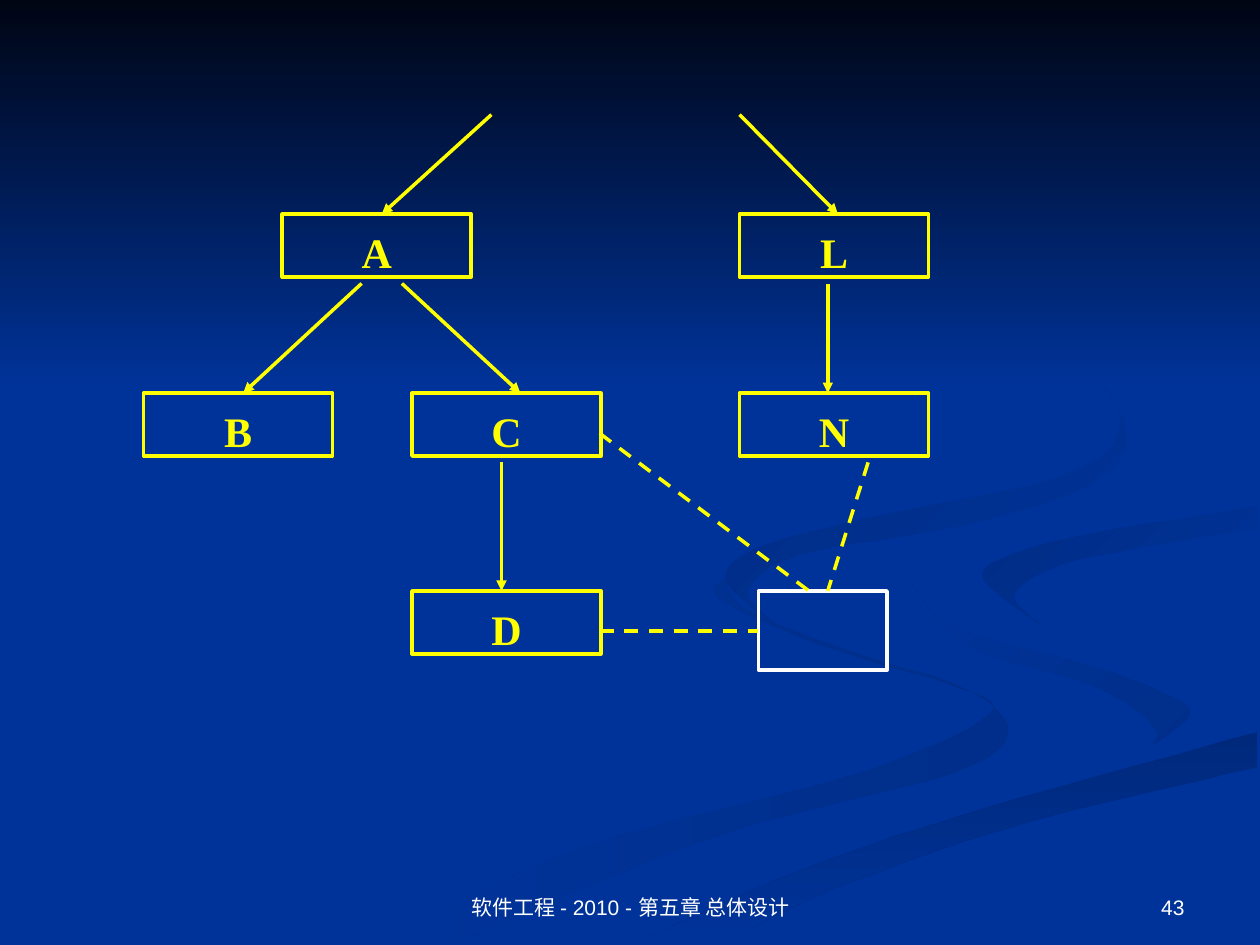
from lxml import etree
from pptx import Presentation
from pptx.dml.color import RGBColor
from pptx.enum.dml import MSO_LINE
from pptx.enum.shapes import MSO_CONNECTOR, MSO_SHAPE
from pptx.enum.text import MSO_ANCHOR, PP_ALIGN
from pptx.oxml.ns import qn
from pptx.util import Inches, Pt

RECTANGLE = MSO_SHAPE.RECTANGLE
STRAIGHT = MSO_CONNECTOR.STRAIGHT
DASH = MSO_LINE.DASH
TOP, BOTTOM = MSO_ANCHOR.TOP, MSO_ANCHOR.BOTTOM
CENTER, RIGHT = PP_ALIGN.CENTER, PP_ALIGN.RIGHT

COLORS = {
    "blue": "003399",
    "night": "000514",
    "shade": "002E8A",
    "deep": "00297C",
    "dusk": "002C85",
    "ink": "002B81",
    "yellow": "FFFF00",
    "white": "FFFFFF",
}
NODE_FONT = {"name": "Times New Roman", "size": Pt(24), "bold": True}
FOOTER_FONT = {"name": "Arial", "size": Pt(12)}
LINE_WIDTH = Pt(2)
BOX_WIDTH, BOX_HEIGHT = 1.5, 0.5
ROWS = (1.7, 3.12, 4.69)
CURVE_STEPS = 6

# Ribbons: start colour, end colour, clockwise angle, then the knots of both edges
RIBBONS = [
    ("shade", "blue", 180,
     [(5.75, 4.59), (5.94, 4.85), (6.82, 5.19), (7.67, 5.47), (8, 5.81), (7.56, 6.14),
      (5.64, 6.65), (3.61, 7.49)],
     [(3, 7.49), (4.58, 6.74), (6.84, 6.13), (7.86, 5.66), (7.52, 5.43), (6.54, 5.13),
      (5.72, 4.76), (5.75, 4.59)]),
    ("shade", "blue", 225,
     [(7.24, 4.64), (7.58, 4.98), (8.7, 5.3), (9.3, 5.53), (9.43, 5.7), (8.94, 6.05)],
     [(8.94, 6.05), (9.18, 5.81), (8.68, 5.44), (7.66, 5.12), (7.24, 4.64)]),
    ("deep", "blue", 90,
     [(5.03, 7.49), (6.3, 6.93), (7.64, 6.47), (9.98, 5.81)],
     [(9.98, 6.09), (8.21, 6.51), (6.7, 7.02), (5.71, 7.49)]),
    ("blue", "dusk", 225,
     [(9.98, 4.02), (8.65, 4.24), (7.99, 4.42), (7.81, 4.6), (8.26, 4.96)],
     [(8.26, 4.96), (8.05, 4.72), (8.43, 4.48), (9.36, 4.29), (9.98, 4.2)]),
    ("blue", "ink", 225,
     [(7.62, 2.33), (8.46, 2.79), (8.89, 3.35), (8.42, 3.78), (6.76, 4.14), (5.97, 4.37),
      (5.77, 4.62), (6.22, 5)],
     [(6.22, 5), (5.93, 4.7), (6.35, 4.4), (7.64, 4.17), (8.67, 3.84), (8.94, 3.44),
      (8.54, 2.83), (7.62, 2.33)]),
    ("night", "blue", 90, [(0, 0), (10, 0)], [(10, 3.08), (0, 3.08)]),
]
NODES = [
    ("A", 2.24, ROWS[0]), ("L", 5.87, ROWS[0]),
    ("B", 1.14, ROWS[1]), ("C", 3.27, ROWS[1]), ("N", 5.87, ROWS[1]),
    ("D", 3.27, ROWS[2]),
]
ARROWS = [
    (3.9, 0.91, 3.03, ROWS[0]), (5.87, 0.91, 6.65, ROWS[0]),
    (2.87, 2.25, 1.93, ROWS[1]), (3.19, 2.25, 4.13, ROWS[1]),
    (6.57, 2.25, 6.57, ROWS[1]), (3.98, 3.67, 3.98, ROWS[2]),
]
DASHED_LINKS = [
    (4.76, 3.44, 6.42, ROWS[2]), (4.76, 5.01, 6.02, 5.01), (6.89, 3.67, 6.57, ROWS[2]),
]


def color(name):
    return RGBColor.from_string(COLORS[name])


def smooth_edge(knots):
    """Catmull-Rom curve through the knots, in hundredths of an inch."""
    padded = [knots[0], *knots, knots[-1]]
    points = []
    for a, b, c, d in zip(padded, padded[1:], padded[2:], padded[3:]):
        for step in range(CURVE_STEPS):
            t = step / CURVE_STEPS
            points.append(tuple(
                round(50 * (2 * q + (r - p) * t + (2 * p - 5 * q + 4 * r - s) * t ** 2
                            + (3 * q - p - 3 * r + s) * t ** 3))
                for p, q, r, s in zip(a, b, c, d)))
    return points + [tuple(round(value * 100) for value in knots[-1])]


def add_ribbon(slide, start, end, angle, first_edge, second_edge):
    points = smooth_edge(first_edge) + smooth_edge(second_edge)
    builder = slide.shapes.build_freeform(*points[0], scale=Inches(0.01))
    builder.add_line_segments(points[1:], close=True)
    shape = builder.convert_to_shape()
    shape.shadow.inherit = False
    shape.line.fill.background()
    shape.fill.gradient()
    shape.fill.gradient_angle = 360 - angle
    for stop, name, position in zip(shape.fill.gradient_stops, (start, end), (0, 1)):
        stop.color.rgb = color(name)
        stop.position = position


def write_text(shape, text, font, color_name, alignment, anchor):
    frame = shape.text_frame
    frame.word_wrap = True
    frame.vertical_anchor = anchor
    paragraph = frame.paragraphs[0]
    paragraph.alignment = alignment
    run = paragraph.add_run()
    run.text = text
    for key, value in font.items():
        setattr(run.font, key, value)
    run.font.color.rgb = color(color_name)


def add_box(slide, left, top, width, height, color_name):
    shape = slide.shapes.add_shape(
        RECTANGLE, Inches(left), Inches(top), Inches(width), Inches(height))
    shape.shadow.inherit = False
    shape.fill.background()
    shape.line.color.rgb = color(color_name)
    shape.line.width = LINE_WIDTH
    return shape


def add_node(slide, label, left, top):
    shape = add_box(slide, left, top, BOX_WIDTH, BOX_HEIGHT, "yellow")
    shape.text_frame.margin_top = Inches(0.1)
    shape.text_frame.margin_bottom = 0
    write_text(shape, label, NODE_FONT, "yellow", CENTER, TOP)


def add_link(slide, ends, dashed=False):
    connector = slide.shapes.add_connector(STRAIGHT, *[Inches(value) for value in ends])
    connector.line.color.rgb = color("yellow")
    connector.line.width = LINE_WIDTH
    if dashed:
        connector.line.dash_style = DASH
    else:
        line = connector.line._get_or_add_ln()
        etree.SubElement(line, qn("a:tailEnd"), type="triangle")
    etree.SubElement(connector._element.spPr, qn("a:effectLst"))


def add_footer(slide, text, left, width, alignment):
    box = slide.shapes.add_textbox(Inches(left), Inches(6.83), Inches(width), Inches(0.52))
    write_text(box, text, FOOTER_FONT, "white", alignment, BOTTOM)


def main():
    presentation = Presentation()
    presentation.slide_width, presentation.slide_height = Inches(10), Inches(7.5)
    slide = presentation.slides.add_slide(presentation.slide_layouts[6])

    # Background
    slide.background.fill.solid()
    slide.background.fill.fore_color.rgb = color("blue")
    for ribbon in RIBBONS:
        add_ribbon(slide, *ribbon)

    # Module tree and the shared data box
    for node in NODES:
        add_node(slide, *node)
    add_box(slide, 6.02, ROWS[2], 1.02, 0.63, "white")
    for ends in ARROWS:
        add_link(slide, ends)
    for ends in DASHED_LINKS:
        add_link(slide, ends, dashed=True)

    # Footer
    add_footer(slide, "软件工程 - 2010 - 第五章 总体设计", 3.42, 3.17, CENTER)
    add_footer(slide, "43", 7.17, 2.33, RIGHT)
    presentation.save("out.pptx")


if __name__ == "__main__":
    main()
